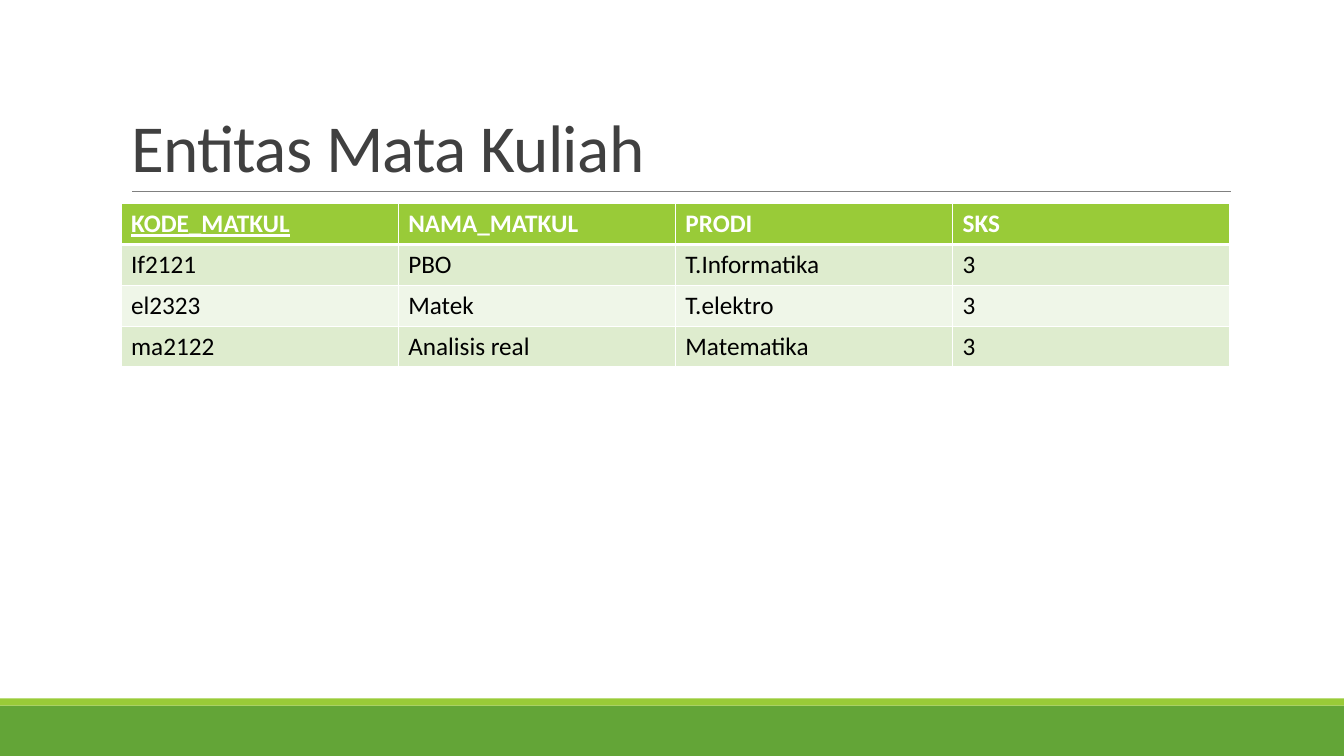
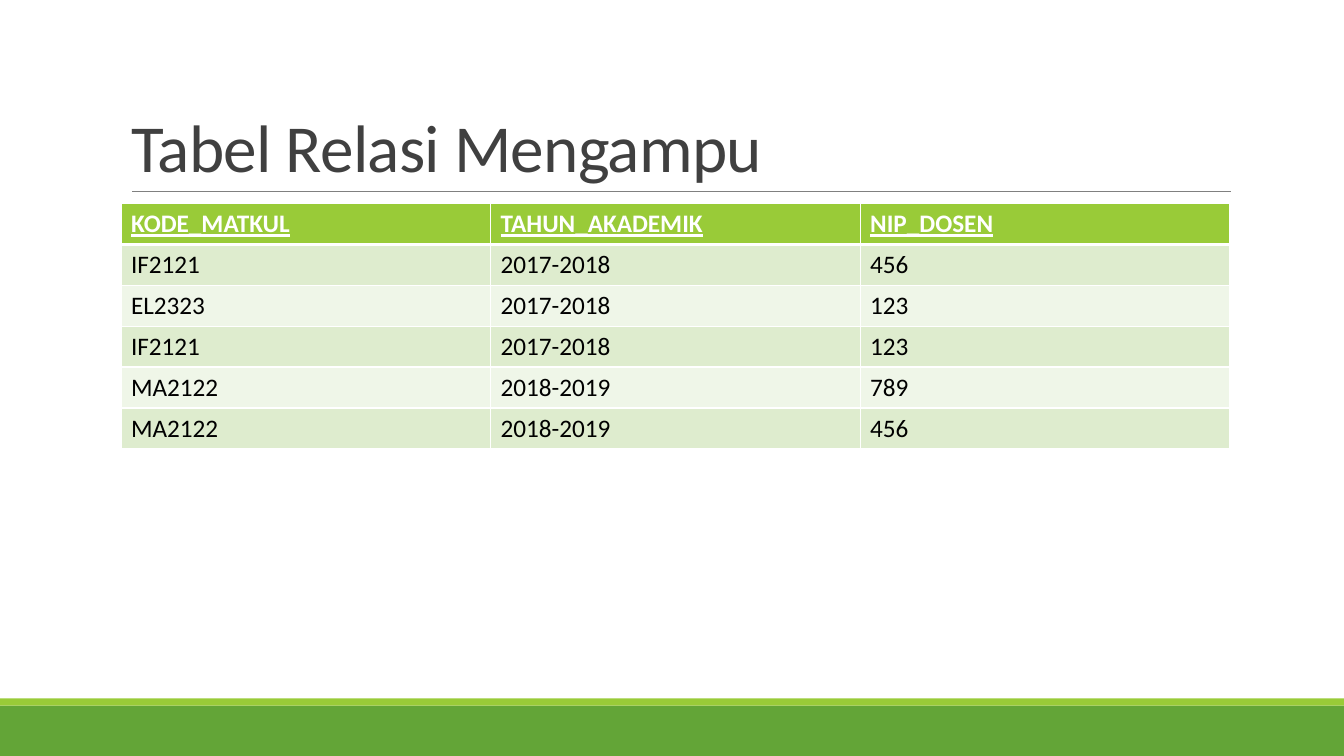
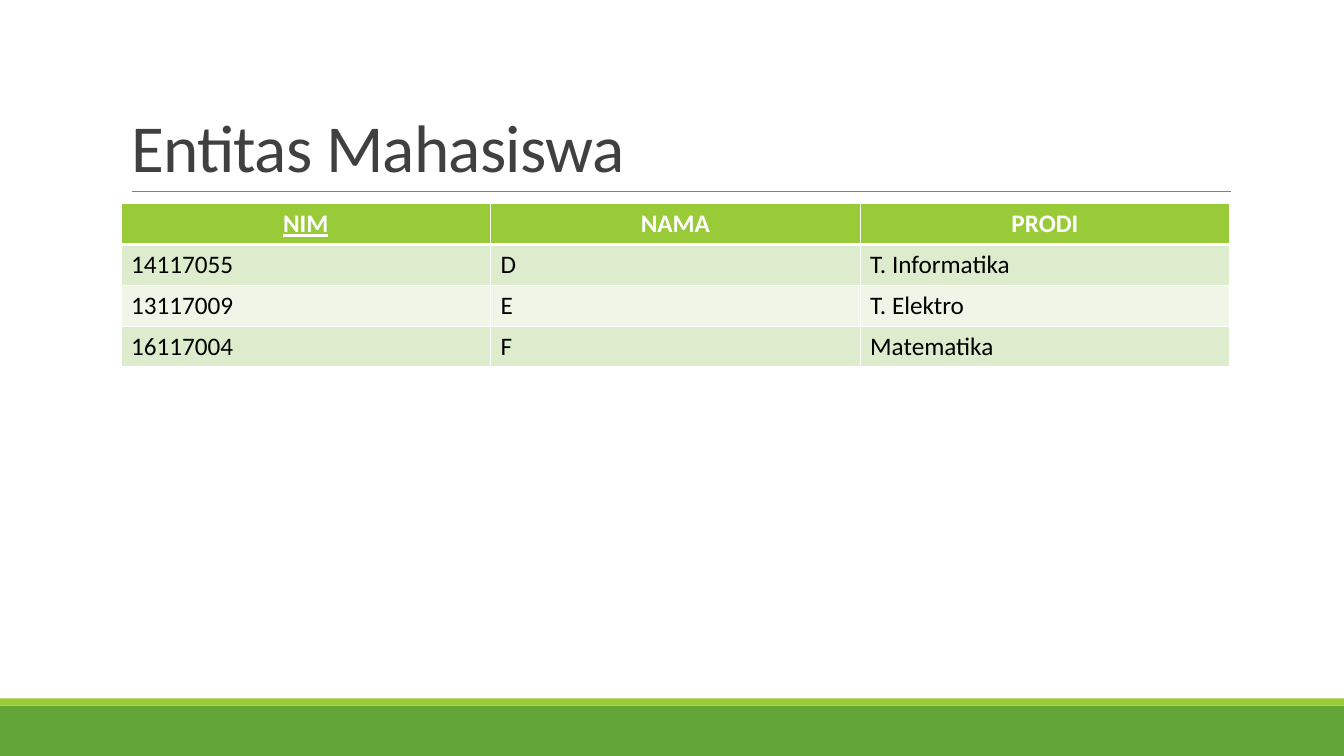
from lxml.etree import SubElement
from pptx import Presentation
from pptx.dml.color import RGBColor
from pptx.enum.shapes import MSO_CONNECTOR, MSO_SHAPE
from pptx.enum.text import MSO_ANCHOR, MSO_AUTO_SIZE, PP_ALIGN
from pptx.oxml.ns import qn
from pptx.util import Cm, Pt

HUES = {
    "green": "63A537",
    "lime": "99CB38",
    "rule": "808080",
    "title": "404040",
    "text": "000000",
    "white": "FFFFFF",
    "dark": "DEECCE",
    "light": "EFF6E8",
}
FONT = "Calibri"
WIDE, HIGH = Cm(33.87), Cm(19.05)
TITLE = (Cm(3.05), Cm(0.79), Cm(27.94), Cm(4.04))
GRID = (Cm(3.05), Cm(5.13), Cm(27.94))
ROW = Cm(1.03)

PAGES = [
    {
        "title": "Entitas Mata Kuliah",
        "keys": 1,
        "align": PP_ALIGN.LEFT,
        "rows": [
            ("KODE_MATKUL", "NAMA_MATKUL", "PRODI", "SKS"),
            ("If2121", "PBO", "T.Informatika", "3"),
            ("el2323", "Matek", "T.elektro", "3"),
            ("ma2122", "Analisis real", "Matematika", "3"),
        ],
    },
    {
        "title": "Tabel Relasi Mengampu",
        "keys": 3,
        "align": PP_ALIGN.LEFT,
        "rows": [
            ("KODE_MATKUL", "TAHUN_AKADEMIK", "NIP_DOSEN"),
            ("IF2121", "2017-2018", "456"),
            ("EL2323", "2017-2018", "123"),
            ("IF2121", "2017-2018", "123"),
            ("MA2122", "2018-2019", "789"),
            ("MA2122", "2018-2019", "456"),
        ],
    },
    {
        "title": "Entitas Mahasiswa",
        "keys": 1,
        "align": PP_ALIGN.CENTER,
        "rows": [
            ("NIM", "NAMA", "PRODI"),
            ("14117055", "D", "T. Informatika"),
            ("13117009", "E", "T. Elektro"),
            ("16117004", "F", "Matematika"),
        ],
    },
]


def color(name):
    return RGBColor.from_string(HUES[name])


def style(part, size, hue, bold=False, under=False):
    for run in part.runs:
        font = run.font
        font.name, font.size = FONT, Pt(size)
        font.bold, font.underline = bold, under
        font.color.rgb = color(hue)


def add_band(slide, top, height, hue):
    band = slide.shapes.add_shape(MSO_SHAPE.RECTANGLE, 0, top, WIDE, height)
    band.shadow.inherit = False
    band.fill.solid()
    band.fill.fore_color.rgb = color(hue)
    band.line.fill.background()
    return band


def add_rule(slide, left, right, top):
    rule = slide.shapes.add_connector(MSO_CONNECTOR.STRAIGHT, left, top, right, top)
    rule.line.color.rgb = color("rule")
    rule.line.width = Pt(0.5)
    SubElement(rule.element.spPr, qn("a:effectLst"))
    return rule


def dress_layout(layout, slide):
    parts = [
        add_band(slide, Cm(17.78), Cm(1.27), "green"),
        add_band(slide, Cm(17.6), Cm(0.18), "lime"),
        add_rule(slide, Cm(3.33), Cm(31.01), Cm(4.83)),
    ]
    for spot, part in enumerate(parts, 2):
        layout.shapes.element.insert(spot, part.element)


def add_title(slide, box, text):
    title = slide.shapes.title
    title.left, title.top, title.width, title.height = box
    frame = title.text_frame
    frame.text = text
    frame.word_wrap = True
    frame.auto_size = MSO_AUTO_SIZE.NONE
    frame.vertical_anchor = MSO_ANCHOR.BOTTOM
    line = frame.paragraphs[0]
    line.alignment = PP_ALIGN.LEFT
    line.line_spacing = 0.85
    style(line, 48, "title")
    for run in line.runs:
        run.font._element.set("spc", "-50")


def add_edges(cell, top, bottom):
    props = cell._tc.get_or_add_tcPr()
    for side, width in (("L", 1), ("R", 1), ("T", top), ("B", bottom)):
        edge = SubElement(props, qn("a:ln" + side), w=str(Pt(width)))
        fill = SubElement(edge, qn("a:solidFill"))
        SubElement(fill, qn("a:srgbClr"), val=HUES["white"])


def add_grid(slide, box, rows, keys, align):
    left, top, width = box
    count = len(rows[0])
    frame = slide.shapes.add_table(len(rows), count, left, top, width, ROW * len(rows))
    for r, row in enumerate(rows):
        head = r == 0
        fill = "lime" if head else ("light", "dark")[r % 2]
        for c, text in enumerate(row):
            cell = frame.table.cell(r, c)
            add_edges(cell, 3 if r == 1 else 1, 3 if head else 1)
            cell.fill.solid()
            cell.fill.fore_color.rgb = color(fill)
            cell.text_frame.text = text
            line = cell.text_frame.paragraphs[0]
            line.alignment = align if head else PP_ALIGN.LEFT
            style(line, 18, "white" if head else "text", head, head and c < keys)


def main():
    deck = Presentation()
    deck.slide_width, deck.slide_height = WIDE, HIGH
    layout = deck.slide_layouts[5]
    for index, page in enumerate(PAGES):
        slide = deck.slides.add_slide(layout)
        if index == 0:
            dress_layout(layout, slide)
        add_title(slide, TITLE, page["title"])
        add_grid(slide, GRID, page["rows"], page["keys"], page["align"])
    deck.save("out.pptx")


if __name__ == "__main__":
    main()
